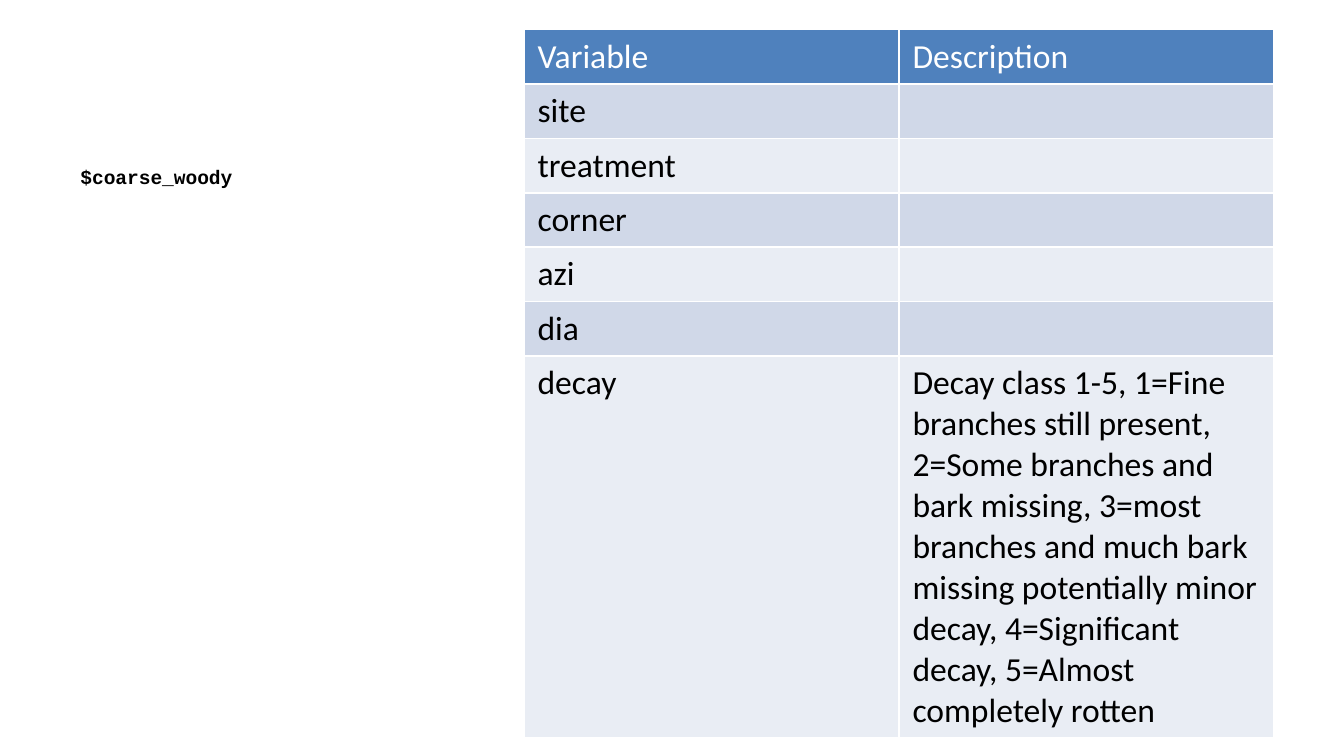
from pptx import Presentation
from pptx.dml.color import RGBColor
from pptx.util import Inches, Pt

COLORS = {
    "header": "4F81BD",
    "band_dark": "D0D8E8",
    "band_light": "E9EDF4",
    "white": "FFFFFF",
    "black": "000000",
}
VARIABLES = [
    ("Variable", "Description"),
    ("site", ""),
    ("treatment", ""),
    ("corner", ""),
    ("azi", ""),
    ("dia", ""),
    ("decay", "Decay class 1-5, 1=Fine branches still present, "
              "2=Some branches and bark missing, 3=most branches and much "
              "bark missing potentially minor decay, 4=Significant decay, "
              "5=Almost completely rotten"),
]
DECAY_HEIGHT = 2.84


def write(frame, text, font="Calibri", size=18, color="black", bold=False):
    frame.word_wrap = True
    para = frame.paragraphs[0]
    para.font.size = Pt(size)
    if not text:
        return
    span = para.add_run()
    span.text = text
    span.font.name = font
    span.font.size = Pt(size)
    span.font.bold = bold
    span.font.color.rgb = RGBColor.from_string(COLORS[color])


def add_dataset_name(page, left, top, width, height):
    box = page.shapes.add_textbox(
        Inches(left), Inches(top), Inches(width), Inches(height))
    write(box.text_frame, "$coarse_woody",
          font="Courier New", size=10.5, bold=True)


def add_variable_table(page, left, top, width, height):
    """Share the height above the tall decay row equally among the others."""
    table = page.shapes.add_table(
        len(VARIABLES), 2, Inches(left), Inches(top),
        Inches(width), Inches(height)).table
    short_height = (height - DECAY_HEIGHT) / (len(VARIABLES) - 1)
    for row in table.rows:
        row.height = Inches(short_height)
    table.rows[len(VARIABLES) - 1].height = Inches(DECAY_HEIGHT)

    for row_index, texts in enumerate(VARIABLES):
        if row_index == 0:
            fill, color = "header", "white"
        else:
            fill = "band_dark" if row_index % 2 else "band_light"
            color = "black"
        for column_index, text in enumerate(texts):
            cell = table.cell(row_index, column_index)
            cell.fill.solid()
            cell.fill.fore_color.rgb = RGBColor.from_string(COLORS[fill])
            write(cell.text_frame, text, color=color)


def main():
    deck = Presentation()
    deck.slide_width = Inches(10)
    deck.slide_height = deck.slide_width * 9 // 16
    page = deck.slides.add_slide(deck.slide_layouts[6])
    add_dataset_name(page, 0.5, 1.18, 3.29, 3.85)
    add_variable_table(page, 3.9, 0.22, 5.58, 5.27)
    deck.save("out.pptx")


if __name__ == "__main__":
    main()
